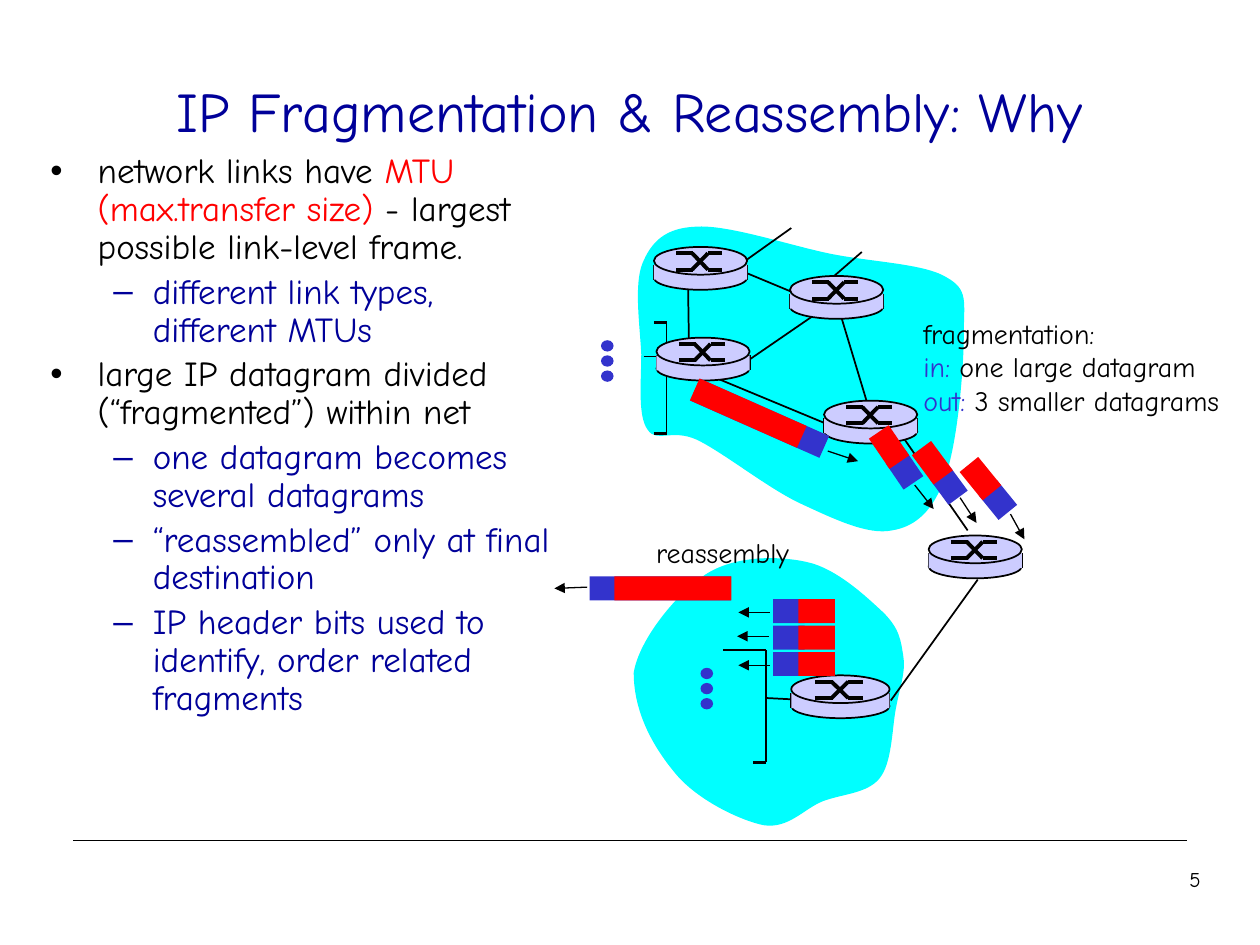
from math import cos, radians, sin

from lxml import etree
from pptx import Presentation
from pptx.dml.color import RGBColor
from pptx.enum.shapes import MSO_CONNECTOR, MSO_SHAPE
from pptx.enum.text import MSO_ANCHOR, MSO_AUTO_SIZE, PP_ALIGN
from pptx.oxml.ns import qn
from pptx.util import Inches, Pt

STRAIGHT = MSO_CONNECTOR.STRAIGHT
RECTANGLE, ELLIPSE = MSO_SHAPE.RECTANGLE, MSO_SHAPE.OVAL
CENTER, MIDDLE = PP_ALIGN.CENTER, MSO_ANCHOR.MIDDLE
FIXED, GROW = MSO_AUTO_SIZE.NONE, MSO_AUTO_SIZE.SHAPE_TO_FIT_TEXT

FONT = "Comic Neue"
BLACK = RGBColor(0x00, 0x00, 0x00)
NAVY = RGBColor(0x00, 0x00, 0x99)
BLUE = RGBColor(0x33, 0x33, 0xCC)
RED = RGBColor(0xFF, 0x00, 0x00)
CYAN = RGBColor(0x00, 0xFF, 0xFF)
LILAC = RGBColor(0xCC, 0xCC, 0xFF)

# Each paragraph: level, then (text, colour) runs
BODY = [
    (0, [("network links have ", BLACK), ("MTU (max.transfer size)", RED),
         (" - largest possible link-level frame.", BLACK)]),
    (1, [("different link types, different MTUs", NAVY)]),
    (0, [("large IP datagram divided (“fragmented”) within net", BLACK)]),
    (1, [("one datagram becomes several datagrams", NAVY)]),
    (1, [("“reassembled” only at final destination", NAVY)]),
    (1, [("IP header bits used to identify, order related fragments", NAVY)]),
]
FRAGMENTATION = [
    [("fragmentation:", BLACK)],
    [("in:", BLUE), (" one large datagram", BLACK)],
    [("out:", BLUE), (" 3 smaller datagrams", BLACK)],
]

# Start point, then cubic segments: two control points and an end point
UPPER_CLOUD = (5.52, 1.8), [
    (5.28, 1.81, 5.17, 1.92, 5.1, 2.09), (5.03, 2.26, 5.08, 2.59, 5.09, 2.81),
    (5.09, 3.03, 5.06, 3.3, 5.14, 3.41), (5.21, 3.52, 5.33, 3.4, 5.53, 3.49),
    (5.74, 3.59, 6.1, 3.88, 6.36, 4), (6.62, 4.12, 6.89, 4.25, 7.08, 4.21),
    (7.27, 4.18, 7.41, 4.05, 7.5, 3.79), (7.6, 3.53, 7.65, 2.92, 7.65, 2.66),
    (7.65, 2.39, 7.69, 2.3, 7.51, 2.2), (7.33, 2.09, 6.9, 2.08, 6.57, 2.01),
    (6.24, 1.94, 5.77, 1.78, 5.52, 1.8)]
LOWER_CLOUD = (5.03, 5.34), [
    (5.07, 5.08, 5.37, 4.71, 5.6, 4.56), (5.83, 4.41, 6.17, 4.41, 6.4, 4.46),
    (6.64, 4.51, 6.88, 4.74, 7.01, 4.86), (7.14, 4.99, 7.15, 5.08, 7.17, 5.21),
    (7.19, 5.34, 7.14, 5.46, 7.11, 5.63), (7.08, 5.79, 7.08, 6.06, 6.98, 6.18),
    (6.88, 6.3, 6.69, 6.3, 6.53, 6.36), (6.38, 6.42, 6.26, 6.58, 6.06, 6.55),
    (5.87, 6.51, 5.54, 6.35, 5.37, 6.15), (5.2, 5.95, 5.03, 5.67, 5.03, 5.34)]

LINKS = [
    (5.11, 2.83, 5.25, 2.83), (5.74, 2.09, 6.46, 2.39), (6.66, 2.46, 6.88, 3.19),
    (5.46, 2.21, 5.47, 2.85), (5.49, 2.92, 6.55, 3.36), (7.68, 4.21, 7.16, 3.46),
    (6.58, 2.42, 5.75, 2.99), (6.28, 1.81, 5.76, 2.18), (6.84, 2, 6.54, 2.26),
    (6.08, 5.54, 6.28, 5.55), (7.76, 4.6, 7.07, 5.56)]
ROUTERS = [(5.19, 1.96, 0.74), (5.21, 2.68, 0.74), (6.27, 2.19, 0.74),
           (6.54, 3.18, 0.74), (6.28, 5.36, 0.78), (7.37, 4.25, 0.74)]

# Header width, data width, distance between their centres
LARGE = (1.12, 0.93, 0.1)
SMALL = (0.25, 0.29, 0.22)
# Header centre, direction of travel in degrees, size
DATAGRAMS = [(6.03, 3.32, 23.9, LARGE), (7.18, 3.73, 55.8, SMALL),
             (7.53, 3.85, 53.6, SMALL), (7.92, 3.97, 50.9, SMALL),
             (5.24, 4.67, 180, LARGE)]
DATAGRAMS += [(6.26, 4.85 + 0.21 * row, 180, SMALL) for row in range(3)]
ARROWS = [
    (6.57, 3.58, 6.81, 3.66), (7.26, 3.85, 7.41, 4.04), (7.62, 3.95, 7.75, 4.15),
    (8.02, 4.08, 8.13, 4.28), (6.11, 4.86, 5.86, 4.86), (6.1, 5.05, 5.85, 5.05),
    (6.11, 5.28, 5.86, 5.28), (4.66, 4.66, 4.4, 4.67)]


def add_line(shapes, x1, y1, x2, y2, width=1, arrow=False):
    line = shapes.add_connector(STRAIGHT, Inches(x1), Inches(y1), Inches(x2), Inches(y2))
    line.line.color.rgb = BLACK
    line.line.width = Pt(width)
    properties = line._element.spPr
    etree.SubElement(properties, qn("a:effectLst"))
    if arrow:
        outline = properties.find(qn("a:ln"))
        etree.SubElement(outline, qn("a:tailEnd"), type="triangle")


def paint(shape, fill, outlined=False):
    shape.shadow.inherit = False
    shape.fill.solid()
    shape.fill.fore_color.rgb = fill
    if outlined:
        shape.line.color.rgb = BLACK
        shape.line.width = Pt(1)
    else:
        shape.line.fill.background()


def add_block(shapes, kind, left, top, width, height, fill, outlined=False):
    shape = shapes.add_shape(kind, Inches(left), Inches(top), Inches(width), Inches(height))
    paint(shape, fill, outlined)
    return shape


def add_cloud(shapes, start, segments):
    points = [(Inches(segment[i]), Inches(segment[i + 1]))
              for segment in segments for i in (0, 2, 4)]
    builder = shapes.build_freeform(Inches(start[0]), Inches(start[1]))
    builder.add_line_segments(points, close=True)
    cloud = builder.convert_to_shape()
    paint(cloud, CYAN)
    # Turn every three straight segments into one cubic curve
    lines = list(cloud._element.spPr.iter(qn("a:lnTo")))
    for first in range(0, len(lines), 3):
        curve = etree.Element(qn("a:cubicBezTo"))
        lines[first].addprevious(curve)
        for line in lines[first:first + 3]:
            curve.append(line[0])
            line.getparent().remove(line)


def add_router(shapes, left, top, width):
    parts = shapes.add_group_shape().shapes
    add_block(parts, ELLIPSE, left, top + 0.15, width, 0.19, LILAC, True)
    for x in (left, left + width):
        add_line(parts, x, top + 0.14, x, top + 0.26)
    add_block(parts, RECTANGLE, left, top + 0.14, width, 0.12, LILAC)
    add_block(parts, ELLIPSE, left, top, width, 0.22, LILAC, True)
    # Crossing strokes on the lid
    x1, x2, x3, x4 = (left + width * share for share in (0.24, 0.41, 0.58, 0.73))
    high, low = top + 0.05, top + 0.18
    for y, other in ((high, low), (low, high)):
        add_line(parts, x1, y, x2 + 0.01, y, 2.25)
        add_line(parts, x3, other, x4, other, 2.25)
        add_line(parts, x2, y, x3, other, 2.25)


def add_datagram(shapes, x, y, angle, size):
    header, data, distance = size
    parts = shapes.add_group_shape().shapes
    data_x = x - distance * cos(radians(angle))
    data_y = y - distance * sin(radians(angle))
    for center_x, center_y, width, fill in ((x, y, header, BLUE), (data_x, data_y, data, RED)):
        block = add_block(parts, RECTANGLE, center_x - width / 2, center_y - 0.095,
                          width, 0.19, fill)
        block.rotation = angle


def add_host_bracket(shapes, upper_left, lower_left, right, top, bottom):
    add_line(shapes, upper_left, top, right, top, 1.5)
    add_line(shapes, lower_left, bottom, right, bottom, 1.5)
    add_line(shapes, right, top, right, bottom)


def add_dots(shapes, left, top):
    dots = shapes.add_group_shape().shapes
    for row in range(3):
        add_block(dots, ELLIPSE, left, top + 0.12 * row, 0.1, 0.09, BLUE)


def write_runs(paragraph, runs, size):
    for text, color in runs:
        run = paragraph.add_run()
        run.text = text
        run.font.name = FONT
        run.font.size = Pt(size)
        run.font.color.rgb = color


def add_label(shapes, left, top, width, height, paragraphs, size=16):
    box = shapes.add_textbox(Inches(left), Inches(top), Inches(width), Inches(height))
    frame = box.text_frame
    frame.word_wrap = False
    frame.auto_size = GROW
    for index, runs in enumerate(paragraphs):
        paragraph = frame.add_paragraph() if index else frame.paragraphs[0]
        write_runs(paragraph, runs, size)
    return frame


def place(shape, left, top, width, height):
    shape.left, shape.top = Inches(left), Inches(top)
    shape.width, shape.height = Inches(width), Inches(height)


def fill_placeholders(slide):
    title, body = slide.shapes.title, slide.placeholders[1]
    place(title, 0.75, 0.25, 8.5, 1.25)
    title.text_frame.vertical_anchor = MIDDLE
    write_runs(title.text_frame.paragraphs[0], [("IP Fragmentation & Reassembly: Why", NAVY)], 32)
    place(body, 0.3, 1.17, 4.17, 5.08)
    frame = body.text_frame
    frame.auto_size = FIXED
    for index, (level, runs) in enumerate(BODY):
        paragraph = frame.add_paragraph() if index else frame.paragraphs[0]
        paragraph.level = level
        paragraph.line_spacing = 0.9
        write_runs(paragraph, runs, 20)
    frame.paragraphs[0].space_before = Pt(0)


def main():
    presentation = Presentation()
    presentation.slide_width, presentation.slide_height = Inches(10), Inches(7.5)
    slide = presentation.slides.add_slide(presentation.slide_layouts[1])
    shapes = slide.shapes

    # Title, list and footer
    add_line(shapes, 0.58, 6.67, 9.42, 6.67, 0.75)
    fill_placeholders(slide)
    number = add_label(shapes, 7.86, 6.83, 3.25, 0.5, [[("5", BLACK)]], 12)
    number.word_wrap, number.auto_size = True, FIXED
    number.paragraphs[0].alignment = CENTER

    # Networks
    for cloud in (UPPER_CLOUD, LOWER_CLOUD):
        add_cloud(shapes, *cloud)
    add_host_bracket(shapes, 5.19, 5.19, 5.29, 2.56, 3.44)
    add_host_bracket(shapes, 5.74, 5.98, 6.08, 5.16, 6.05)
    add_dots(shapes, 4.77, 2.7)
    add_dots(shapes, 5.56, 5.3)
    for link in LINKS:
        add_line(shapes, *link)
    for router in ROUTERS:
        add_router(shapes, *router)

    # Datagrams in transit
    for datagram in DATAGRAMS:
        add_datagram(shapes, *datagram)
    for arrow in ARROWS:
        add_line(shapes, *arrow, width=0.75, arrow=True)
    add_label(shapes, 7.23, 2.46, 2.77, 0.9, FRAGMENTATION)
    add_label(shapes, 5.11, 4.2, 1.36, 0.37, [[("reassembly", BLACK)]])

    presentation.save("out.pptx")


if __name__ == "__main__":
    main()
